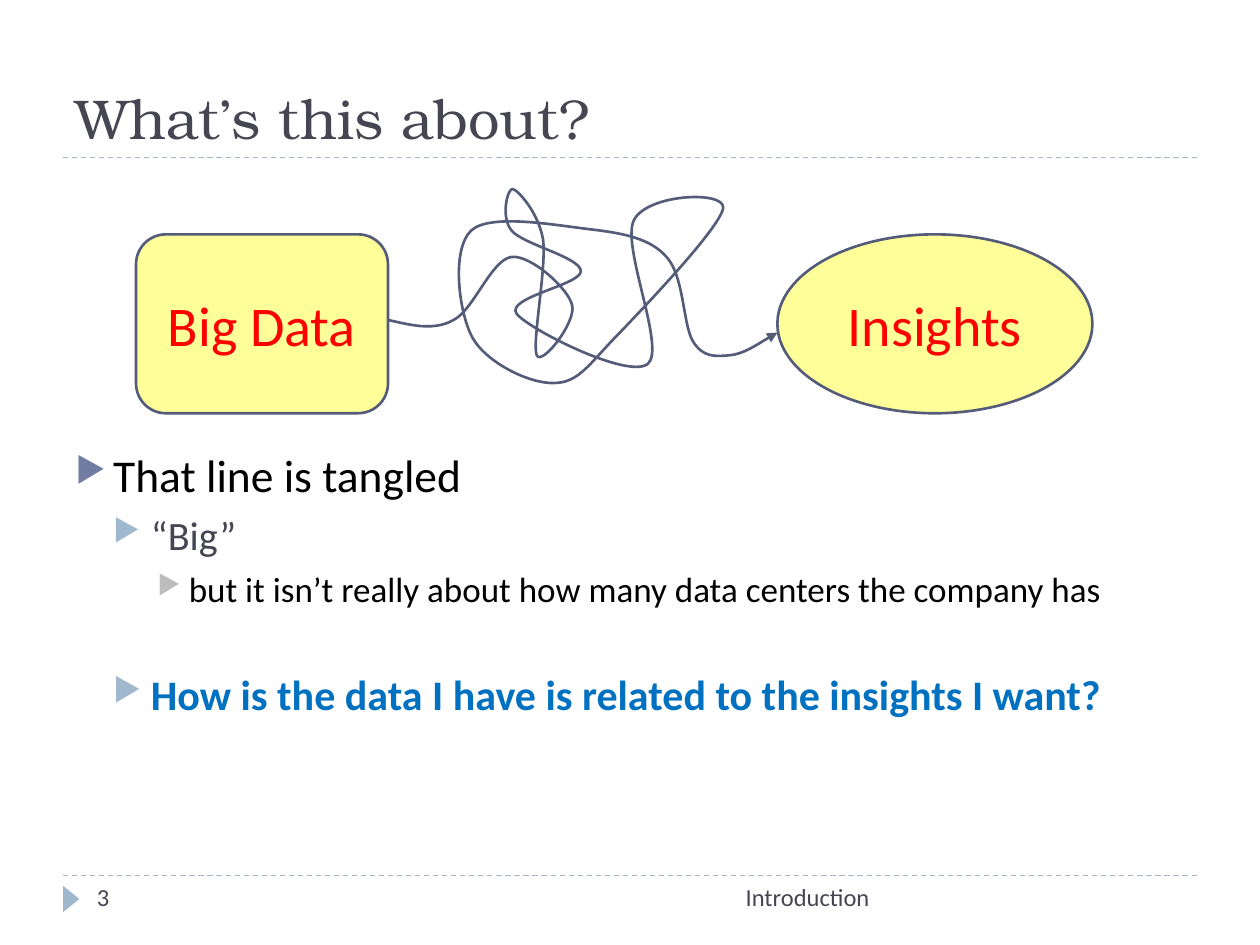
from lxml import etree
from pptx import Presentation
from pptx.dml.color import RGBColor
from pptx.enum.dml import MSO_LINE
from pptx.enum.shapes import MSO_CONNECTOR, MSO_SHAPE
from pptx.enum.text import MSO_ANCHOR, MSO_AUTO_SIZE, PP_ALIGN
from pptx.oxml.ns import qn
from pptx.util import Inches, Pt

LEFT, CENTER, RIGHT = PP_ALIGN.LEFT, PP_ALIGN.CENTER, PP_ALIGN.RIGHT
TOP, MIDDLE, BOTTOM = MSO_ANCHOR.TOP, MSO_ANCHOR.MIDDLE, MSO_ANCHOR.BOTTOM
TITLE_ONLY = 5
COLORS = {
    "slate": "464653", "pale": "9FB8CD", "outline": "545C79", "yellow": "FFFF00",
    "red": "FF0000", "blue": "0070C0", "black": "000000",
    "bullet": "727CA3", "gray": "BDBDBD",
}
TITLE_FONT, BODY_FONT = "TeX Gyre Bonum", "Calibri"

# Tangled curve in hundredths of an inch: (control, control, end) per piece
TANGLE_START = (308, 254)
TANGLE = [
    ((326, 258), (344, 263), (360, 254)), ((376, 246), (390, 206), (406, 204)),
    ((421, 202), (451, 229), (454, 242)), ((458, 255), (430, 291), (426, 282)),
    ((422, 273), (434, 212), (431, 190)), ((427, 168), (411, 151), (407, 150)),
    ((403, 149), (397, 172), (406, 183)), ((415, 194), (460, 204), (461, 215)),
    ((462, 226), (401, 236), (410, 249)), ((419, 261), (498, 301), (514, 289)),
    ((529, 277), (493, 196), (503, 175)), ((513, 154), (575, 151), (574, 165)),
    ((572, 180), (514, 241), (492, 264)), ((469, 287), (460, 304), (440, 304)),
    ((421, 305), (386, 288), (375, 268)), ((364, 248), (358, 198), (374, 183)),
    ((389, 169), (442, 179), (468, 182)), ((494, 185), (516, 189), (529, 204)),
    ((543, 219), (542, 258), (550, 271)), ((558, 284), (568, 283), (579, 282)),
    ((590, 281), (603, 272), (617, 264)),
]


def color(name):
    return RGBColor.from_string(COLORS[name])


def write(paragraph, text, size, ink="slate", font=BODY_FONT, bold=False, align=LEFT):
    paragraph.alignment = align
    run = paragraph.add_run()
    run.text = text
    run.font.name, run.font.size, run.font.bold = font, Pt(size), bold
    run.font.color.rgb = color(ink)


def add_bullet(paragraph, ink, left, hanging):
    properties = paragraph._p.get_or_add_pPr()
    properties.set("marL", str(Inches(left)))
    properties.set("indent", str(-Inches(hanging)))
    bullet_color = etree.SubElement(properties, qn("a:buClr"))
    etree.SubElement(bullet_color, qn("a:srgbClr"), val=COLORS[ink])
    etree.SubElement(properties, qn("a:buSzPct"), val="76000")
    etree.SubElement(properties, qn("a:buChar"), char="▶")


class SlideBuilder:
    def __init__(self, slide):
        self.slide = slide
        self.shapes = slide.shapes

    def place(self, shape, box):
        shape.left, shape.top, shape.width, shape.height = map(Inches, box)

    def title(self, text, box):
        shape = self.shapes.title
        self.place(shape, box)
        frame = shape.text_frame
        frame.auto_size, frame.vertical_anchor = MSO_AUTO_SIZE.NONE, BOTTOM
        write(frame.paragraphs[0], text, 32, font=TITLE_FONT)

    def text_frame(self, box):
        frame = self.shapes.add_textbox(*map(Inches, box)).text_frame
        frame.word_wrap, frame.vertical_anchor = True, TOP
        return frame

    def label(self, text, box, align=LEFT):
        write(self.text_frame(box).paragraphs[0], text, 14, align=align)

    def bullets(self, items, box):
        frame = self.text_frame(box)
        styles = [("bullet", 0.3, 0.3), ("pale", 0.6, 0.3), ("gray", 0.9, 0.25)]
        for index, (level, text, space, text_format) in enumerate(items):
            paragraph = frame.add_paragraph() if index else frame.paragraphs[0]
            paragraph.level, paragraph.space_before = level, Pt(space)
            write(paragraph, text, **text_format)
            add_bullet(paragraph, *styles[level])

    def rule(self, top):
        line = self.shapes.add_connector(
            MSO_CONNECTOR.STRAIGHT, Inches(0.5), Inches(top), Inches(9.5), Inches(top))
        line.line.color.rgb, line.line.width = color("pale"), Pt(0.75)
        line.line.dash_style = MSO_LINE.DASH
        etree.SubElement(line._element.spPr, qn("a:effectLst"))

    def marker(self, box):
        shape = self.shapes.add_shape(MSO_SHAPE.ISOSCELES_TRIANGLE, *map(Inches, box))
        shape.shadow.inherit = False
        shape.rotation = 90
        shape.fill.solid()
        shape.fill.fore_color.rgb = color("pale")
        shape.line.fill.background()

    def outline(self, shape):
        shape.shadow.inherit = False
        shape.line.color.rgb, shape.line.width = color("outline"), Pt(1.5)

    def node(self, kind, text, box):
        shape = self.shapes.add_shape(kind, *map(Inches, box))
        self.outline(shape)
        shape.fill.solid()
        shape.fill.fore_color.rgb = color("yellow")
        fill_color = shape._element.spPr.find(qn("a:solidFill")).find(qn("a:srgbClr"))
        etree.SubElement(fill_color, qn("a:alpha"), val="40000")
        shape.text_frame.vertical_anchor = MIDDLE
        write(shape.text_frame.paragraphs[0], text, 32, "red", align=CENTER)

    def curved_arrow(self, start, pieces):
        ends = [piece[-1] for piece in pieces]
        builder = self.shapes.build_freeform(*start, scale=Inches(0.01))
        builder.add_line_segments(ends, close=False)
        shape = builder.convert_to_shape()
        self.outline(shape)
        shape.fill.background()
        # Turn each straight piece into a Bezier piece
        left, top = (min(values) for values in zip(start, *ends))
        segments = list(shape._element.iter(qn("a:lnTo")))
        for segment, piece in zip(segments, pieces):
            curve = etree.Element(qn("a:cubicBezTo"))
            for x, y in piece:
                etree.SubElement(curve, qn("a:pt"), x=str(x - left), y=str(y - top))
            segment.getparent().replace(segment, curve)
        etree.SubElement(shape.line._get_or_add_ln(), qn("a:tailEnd"), type="triangle")


def main():
    presentation = Presentation()
    presentation.slide_width, presentation.slide_height = Inches(10), Inches(7.5)
    layout = presentation.slide_layouts[TITLE_ONLY]
    builder = SlideBuilder(presentation.slides.add_slide(layout))

    # Title, rules and footer
    builder.title("What’s this about?", (0.5, 0.17, 9, 1.08))
    for top in (6.95, 1.25):
        builder.rule(top)
    builder.marker((0.46, 7.07, 0.21, 0.13))
    builder.label("Introduction", (3.17, 6.95, 3.83, 0.4), RIGHT)
    builder.label("3", (0.67, 6.95, 2.17, 0.4))

    # Bullets: level, text, space before, format
    builder.bullets([
        (0, "That line is tangled", 6, dict(size=26, ink="black")),
        (1, "“Big”", 5, dict(size=23)),
        (2, "but it isn’t really about how many data centers the company has", 5,
         dict(size=20, ink="black")),
        (1, "How is the data I have is related to the insights I want?", 34,
         dict(size=24, ink="blue", bold=True)),
    ], (0.5, 3.5, 9, 3.23))

    # Diagram
    builder.node(MSO_SHAPE.ROUNDED_RECTANGLE, "Big Data", (1.08, 1.86, 2, 1.42))
    builder.node(MSO_SHAPE.OVAL, "Insights", (6.17, 1.86, 2.5, 1.42))
    builder.curved_arrow(TANGLE_START, TANGLE)

    presentation.save("out.pptx")


if __name__ == "__main__":
    main()
